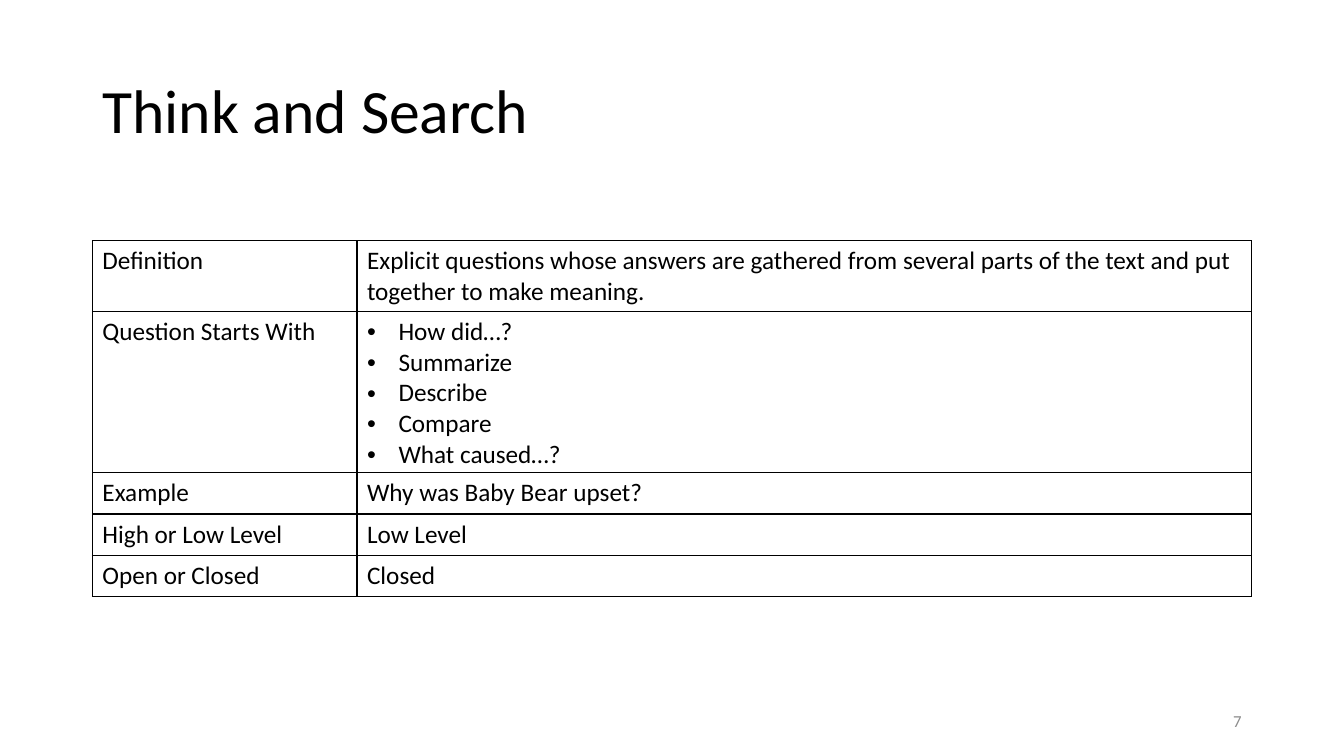
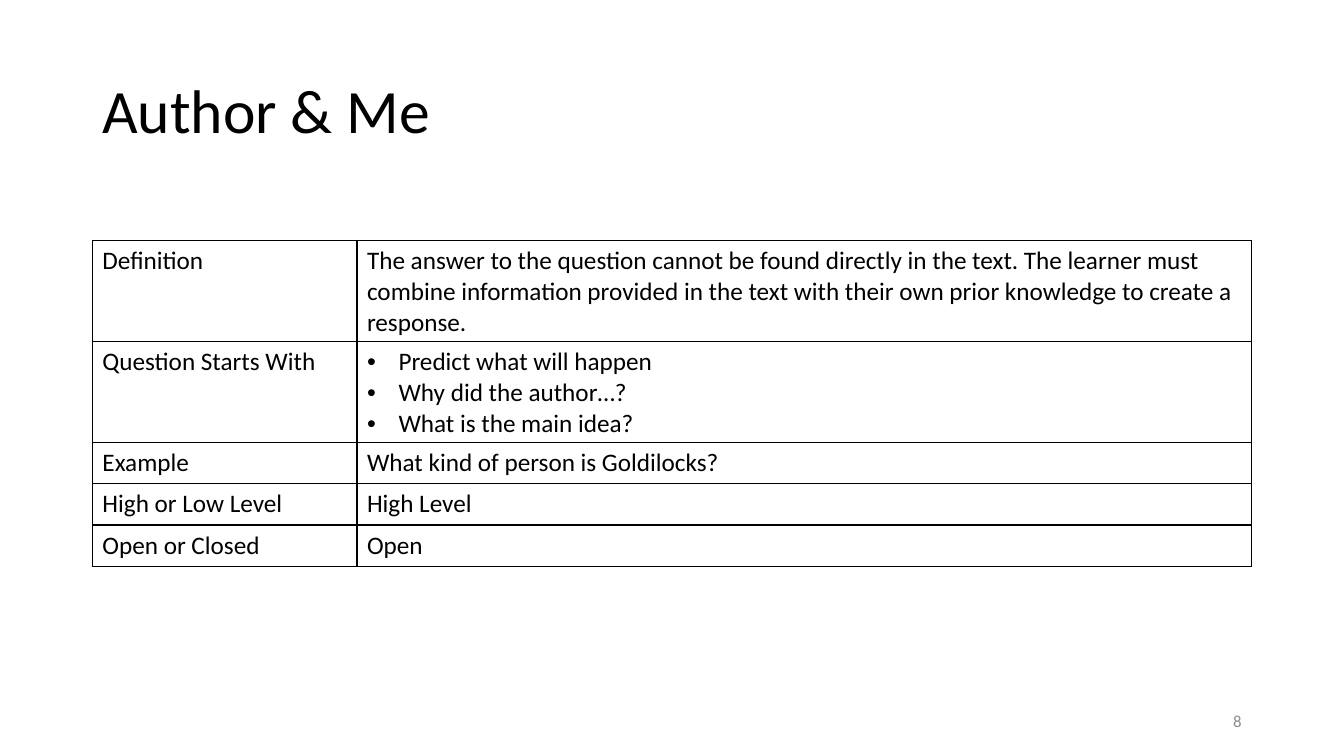
from lxml.etree import SubElement
from pptx import Presentation
from pptx.dml.color import RGBColor
from pptx.enum.text import MSO_ANCHOR, PP_ALIGN
from pptx.oxml.ns import qn
from pptx.util import Pt

FONT = "Calibri"
BLACK, GRAY = "000000", "8C8C8C"
LEFT, WIDTH = 66, 828
TITLE_TOP, TITLE_HEIGHT = 29, 104
TABLE_TOP, ROW_HEIGHT = 172, 29.5
LABEL_WIDTH = 189
NUMBER_TOP, NUMBER_WIDTH, NUMBER_HEIGHT = 500.5, 216, 28.5
BULLET_INDENT = 22.5
FIRST_NUMBER = 7

LABELS = ["Definition", "Question Starts With", "Example", "High or Low Level", "Open or Closed"]

# A list of answers is shown as bullets.
QUESTION_TYPES = [
    ("Think and Search", [
        "Explicit questions whose answers are gathered from several parts of the text "
        "and put together to make meaning.",
        ["How did…?", "Summarize", "Describe", "Compare", "What caused…?"],
        "Why was Baby Bear upset?",
        "Low Level",
        "Closed",
    ]),
    ("Author & Me", [
        "The answer to the question cannot be found directly in the text. The learner must "
        "combine information provided in the text with their own prior knowledge to create "
        "a response.",
        ["Predict what will happen", "Why did the author…?", "What is the main idea?"],
        "What kind of person is Goldilocks?",
        "High Level",
        "Open",
    ]),
]


def color(value):
    return RGBColor.from_string(value)


def add_span(para, text, size, shade=BLACK):
    span = para.add_run()
    span.text = text
    span.font.name = FONT
    span.font.size = Pt(size)
    span.font.color.rgb = color(shade)


def add_text(page, text, left, top, width, height, size, shade=BLACK):
    """Add a one-paragraph, vertically centred box and return its paragraph."""
    box = page.shapes.add_textbox(Pt(left), Pt(top), Pt(width), Pt(height))
    frame = box.text_frame
    frame.word_wrap = True
    frame.vertical_anchor = MSO_ANCHOR.MIDDLE
    para = frame.paragraphs[0]
    add_span(para, text, size, shade)
    return para


def add_bullet(para):
    properties = para._p.get_or_add_pPr()
    properties.set("marL", str(Pt(BULLET_INDENT)))
    properties.set("indent", str(-Pt(BULLET_INDENT)))
    SubElement(properties, qn("a:buFont")).set("typeface", "Arial")
    SubElement(properties, qn("a:buChar")).set("char", "•")


def add_borders(cell):
    properties = cell._tc.get_or_add_tcPr()
    for side in ("lnL", "lnR", "lnT", "lnB"):
        line = SubElement(properties, qn(f"a:{side}"), w=str(Pt(1)))
        fill = SubElement(line, qn("a:solidFill"))
        SubElement(fill, qn("a:srgbClr")).set("val", BLACK)


def fill_cell(cell, content):
    add_borders(cell)
    cell.fill.background()
    bulleted = isinstance(content, list)
    frame = cell.text_frame
    for index, text in enumerate(content if bulleted else [content]):
        para = frame.add_paragraph() if index else frame.paragraphs[0]
        if bulleted:
            add_bullet(para)
        add_span(para, text, 18)


def add_answer_table(page, answers):
    frame = page.shapes.add_table(len(LABELS), 2, Pt(LEFT), Pt(TABLE_TOP),
                                  Pt(WIDTH), Pt(ROW_HEIGHT * len(LABELS)))
    table = frame.table
    table.first_row = table.horz_banding = False
    table.columns[0].width = Pt(LABEL_WIDTH)
    table.columns[1].width = Pt(WIDTH - LABEL_WIDTH)
    for row, contents in enumerate(zip(LABELS, answers)):
        table.rows[row].height = Pt(ROW_HEIGHT)
        for column, content in enumerate(contents):
            fill_cell(table.cell(row, column), content)


def add_page(deck, number, title, answers):
    page = deck.slides.add_slide(deck.slide_layouts[6])
    heading = add_text(page, title, LEFT, TITLE_TOP, WIDTH, TITLE_HEIGHT, 44)
    heading.line_spacing = 0.9
    add_answer_table(page, answers)
    footer = add_text(page, str(number), LEFT + WIDTH - NUMBER_WIDTH, NUMBER_TOP,
                      NUMBER_WIDTH, NUMBER_HEIGHT, 12, GRAY)
    footer.alignment = PP_ALIGN.RIGHT


def main():
    deck = Presentation()
    deck.slide_width, deck.slide_height = Pt(960), Pt(540)
    for number, (title, answers) in enumerate(QUESTION_TYPES, FIRST_NUMBER):
        add_page(deck, number, title, answers)
    deck.save("out.pptx")


if __name__ == "__main__":
    main()
